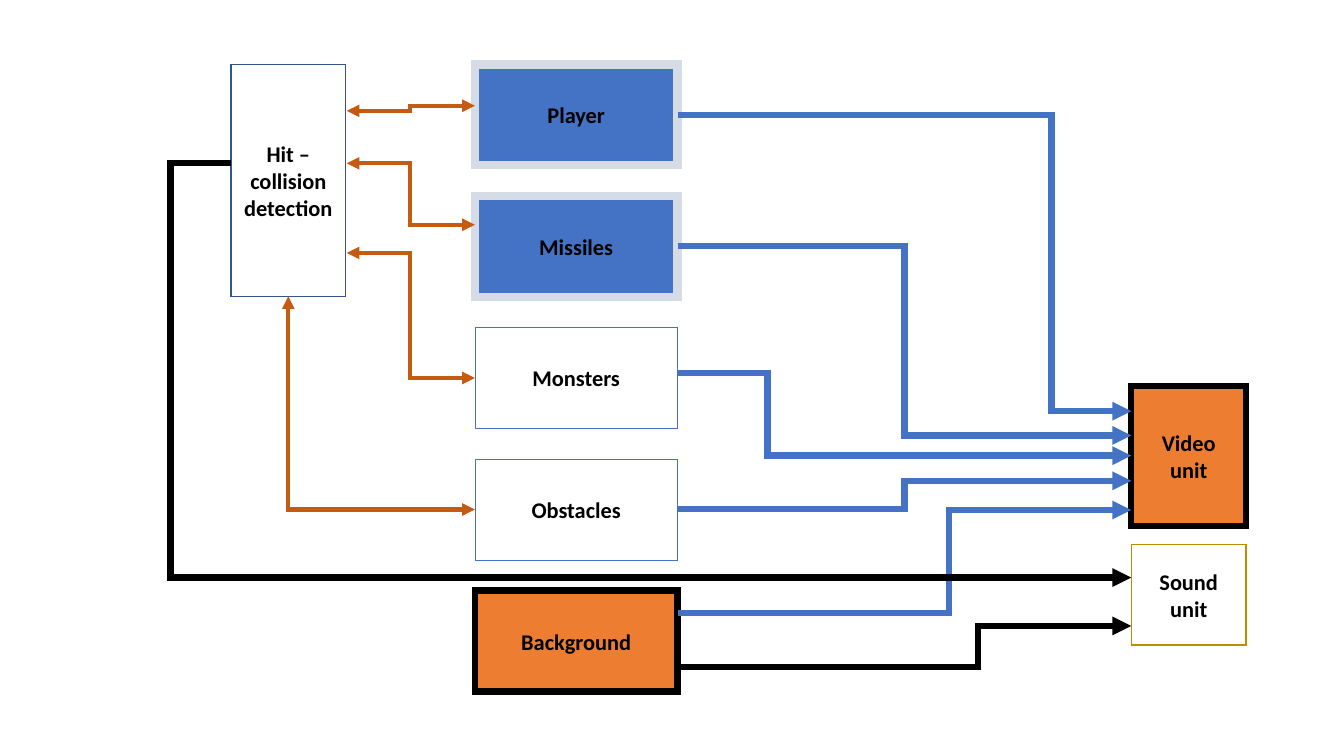
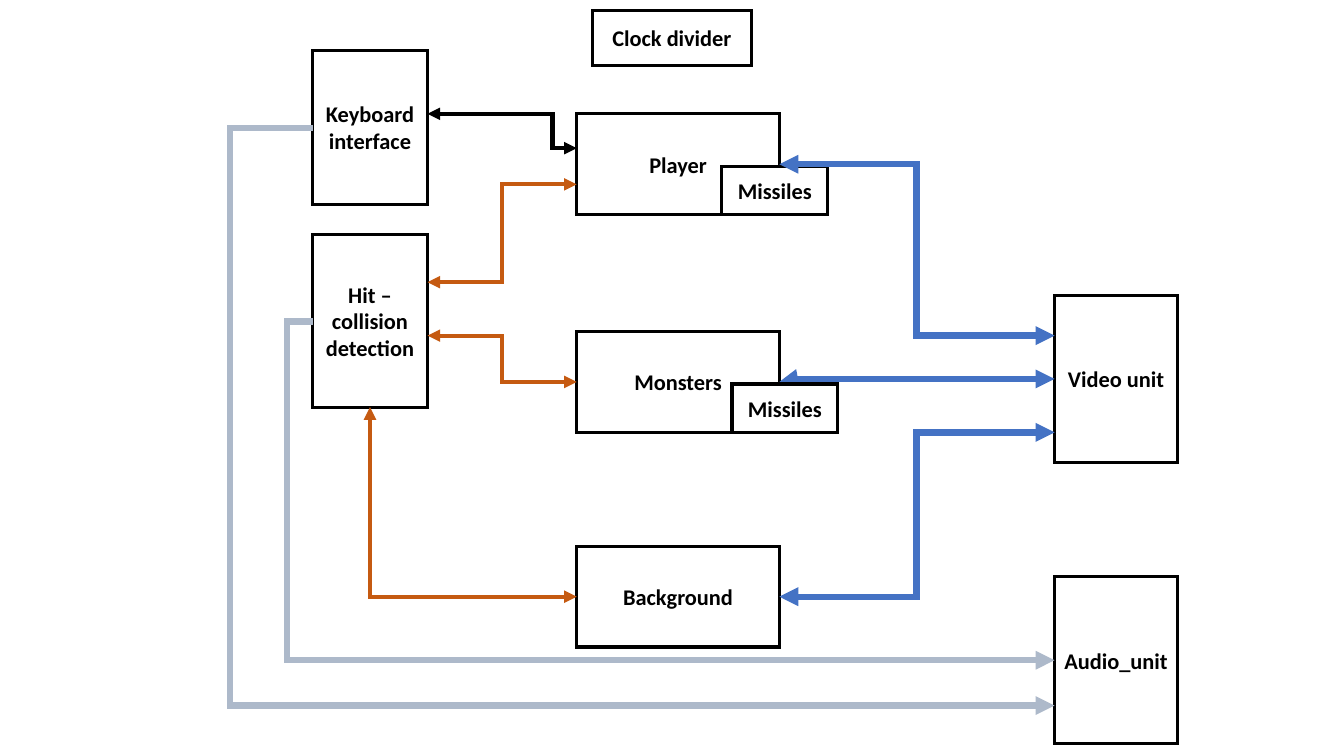
from dataclasses import dataclass

from lxml import etree
from pptx import Presentation
from pptx.dml.color import RGBColor
from pptx.enum.shapes import MSO_CONNECTOR, MSO_SHAPE
from pptx.enum.text import MSO_ANCHOR, PP_ALIGN
from pptx.oxml.ns import qn
from pptx.util import Inches, Pt

ELBOW = MSO_CONNECTOR.ELBOW
RECTANGLE = MSO_SHAPE.RECTANGLE
MIDDLE = MSO_ANCHOR.MIDDLE
CENTER = PP_ALIGN.CENTER
LEFT_SITE, BOTTOM_SITE = 1, 2  # connection sites of a rectangle
BLANK_LAYOUT = 6


@dataclass(frozen=True)
class Theme:
    font: str = "Calibri"
    size: float = 16
    black: str = "000000"
    white: str = "FFFFFF"
    blue: str = "4472C4"
    orange: str = "ED7D31"
    rust: str = "C55A11"
    navy: str = "325491"
    gold: str = "BD8E00"
    pale: str = "D6DCE5"
    steel: str = "ADB9CA"
    hairline: float = 0.5
    thin: float = 1
    outline: float = 2.25
    link: float = 3
    heavy: float = 4.5
    frame: float = 6


THEME = Theme()

# Box styles: fill, line colour, line width
CONTROLLED = dict(fill=THEME.blue, line=THEME.pale, width=THEME.frame)
PLAIN = dict(line=THEME.blue, width=THEME.hairline)
READY = dict(fill=THEME.orange, line=THEME.black, width=THEME.heavy)
DETECTOR = dict(line=THEME.navy, width=THEME.thin)
SOUND = dict(line=THEME.gold, width=THEME.thin)
OUTLINED = dict(line=THEME.black, width=THEME.outline)
SOLID = dict(OUTLINED, fill=THEME.white)

# Link styles
HIT_LINK = dict(color=THEME.rust, width=THEME.link, both=True)
KEY_LINK = dict(color=THEME.black, width=THEME.link, both=True)
VIDEO_LINK = dict(color=THEME.blue, width=THEME.heavy)
VIDEO_EXCHANGE = dict(VIDEO_LINK, both=True)
SOUND_LINK = dict(color=THEME.black, width=THEME.heavy)
AUDIO_LINK = dict(color=THEME.steel, width=THEME.heavy)


def write_text(shape, text, size=THEME.size, color=THEME.black, bold=True,
               align=CENTER, side_inset=0.1):
    frame = shape.text_frame
    frame.word_wrap = True
    frame.vertical_anchor = MIDDLE
    frame.margin_left = frame.margin_right = Inches(side_inset)
    paragraph = frame.paragraphs[0]
    paragraph.alignment = align
    run = paragraph.add_run()
    run.text = text
    run.font.name = THEME.font
    run.font.size = Pt(size)
    run.font.bold = bold
    run.font.color.rgb = RGBColor.from_string(color)


def format_line(shape, color, width):
    """Set a solid line with sharp corners and return its XML element."""
    shape.line.color.rgb = RGBColor.from_string(color)
    shape.line.width = Pt(width)
    line = shape._element.spPr.find(qn("a:ln"))
    etree.SubElement(line, qn("a:miter"), lim="800000")
    return line


def add_box(slide, text, left, top, width, height, line, fill=None, **text_format):
    shape = slide.shapes.add_shape(
        RECTANGLE, Inches(left), Inches(top), Inches(width), Inches(height))
    shape.shadow.inherit = False
    if fill:
        shape.fill.solid()
        shape.fill.fore_color.rgb = RGBColor.from_string(fill)
    else:
        shape.fill.background()
    format_line(shape, line["color"], line["width"])
    write_text(shape, text, **text_format)
    return shape


def add_module(slide, text, place, style, **text_format):
    line = dict(color=style["line"], width=style["width"])
    return add_box(slide, text, *place, line, style.get("fill"), **text_format)


def add_link(slide, start, end, color, width, both=False):
    connector = slide.shapes.add_connector(ELBOW, *map(Inches, start + end))
    line = format_line(connector, color, width)
    for name in ("a:headEnd", "a:tailEnd") if both else ("a:tailEnd",):
        etree.SubElement(line, qn(name), type="triangle")
    etree.SubElement(connector._element.spPr, qn("a:effectLst"))
    return connector


def add_step(slide, start, end, turn, **style):
    """Horizontal, vertical, horizontal; turn is the x of the vertical part."""
    connector = add_link(slide, start, end, **style)
    share = (turn - start[0]) / (end[0] - start[0])
    geometry = connector._element.spPr.find(qn("a:prstGeom"))
    guides = geometry.find(qn("a:avLst"))
    if guides is None:
        guides = etree.SubElement(geometry, qn("a:avLst"))
    etree.SubElement(guides, qn("a:gd"), name="adj1",
                     fmla=f"val {round(share * 100000)}")


def add_corner(slide, module, detector, **style):
    """One bend from a module's left side to the detector's bottom."""
    connector = add_link(slide, (0, 0), (1, 1), **style)
    connector.begin_connect(module, LEFT_SITE)
    connector.end_connect(detector, BOTTOM_SITE)
    connector._element.spPr.find(qn("a:prstGeom")).set("prst", "bentConnector2")


def build_status_slide(slide):
    # Modules in one evenly spaced column
    left, first_top, last_top, width, height = 4.71, 0.64, 5.86, 2.01, 1
    column = [("Player", CONTROLLED), ("Missiles", CONTROLLED), ("Monsters", PLAIN),
              ("Obstacles", PLAIN), ("Background", READY)]
    pitch = (last_top - first_top) / (len(column) - 1)
    modules = {}
    for row, (name, style) in enumerate(column):
        place = (left, first_top + row * pitch, width, height)
        modules[name] = add_module(slide, name, place, style)

    # Units at the sides
    detector = add_module(slide, "Hit – collision detection",
                          (2.29, 0.64, 1.14, 2.3), DETECTOR)
    add_module(slide, "Video unit", (11.22, 3.83, 1.14, 1.39), READY)
    add_module(slide, "Sound unit", (11.22, 5.4, 1.14, 1), SOUND)

    # Collision links
    for detector_y, module_y in ((1.1, 1.05), (1.62, 2.23), (2.51, 3.75)):
        add_step(slide, (3.44, detector_y), (left, module_y), 4.07, **HIT_LINK)
    add_corner(slide, modules["Obstacles"], detector, **HIT_LINK)

    # Video and sound links
    right, unit_left = left + width, 11.22
    for module_y, unit_y, turn in ((1.14, 4.08, 10.43), (2.44, 4.32, 8.97),
                                   (3.7, 4.52, 7.61), (5.05, 4.77, 8.97),
                                   (6.08, 5.06, 9.41)):
        add_step(slide, (right, module_y), (unit_left, unit_y), turn, **VIDEO_LINK)
    add_step(slide, (2.29, 1.62), (unit_left, 5.73), 1.69, **SOUND_LINK)
    add_step(slide, (right, 6.62), (unit_left, 6.21), 9.7, **SOUND_LINK)


def build_architecture_slide(slide):
    # Modules in the middle column
    left, width, height = 5.72, 2.01, 1
    modules = {}
    for name, top in (("Player", 1.13), ("Monsters", 3.29), ("Background", 5.42)):
        modules[name] = add_module(slide, name, (left, top, width, height), SOLID)
    add_module(slide, "Missiles", (7.16, 1.65, 1.05, 0.48), SOLID)
    add_module(slide, "Clock divider", (5.88, 0.1, 1.57, 0.55), OUTLINED)

    # Units at the sides
    add_module(slide, "Keyboard interface", (3.1, 0.5, 1.14, 1.53), OUTLINED)
    detector = add_module(slide, "Hit – collision detection",
                          (3.1, 2.33, 1.14, 1.71), OUTLINED)
    add_module(slide, "Video unit", (10.46, 2.93, 1.22, 1.66), OUTLINED)
    add_module(slide, "Audio_unit", (10.46, 5.72, 1.22, 1.66), OUTLINED, side_inset=0)

    # Keyboard and collision links
    input_right = 4.24
    for input_y, module_y, turn, style in ((1.13, 1.47, 5.48, KEY_LINK),
                                           (2.8, 1.83, 4.98, HIT_LINK),
                                           (3.33, 3.79, 4.98, HIT_LINK)):
        add_step(slide, (input_right, input_y), (left, module_y), turn, **style)
    add_corner(slide, modules["Background"], detector, **HIT_LINK)

    # Video and audio links
    right, unit_left = left + width, 10.46
    for module_y, unit_y, turn in ((1.63, 3.33, 9.09), (3.79, 3.76, 7.74),
                                   (5.92, 4.29, 9.09)):
        add_step(slide, (right, module_y), (unit_left, unit_y), turn, **VIDEO_EXCHANGE)
    for input_y, unit_y, turn in ((1.27, 7, 2.28), (3.19, 6.55, 2.85)):
        add_step(slide, (3.1, input_y), (unit_left, unit_y), turn, **AUDIO_LINK)

    # The monsters' missiles lie over the video link
    add_module(slide, "Missiles", (7.26, 3.81, 1.05, 0.48), SOLID)


def main():
    presentation = Presentation()
    presentation.slide_width = Inches(13.33)
    presentation.slide_height = Inches(7.5)
    layout = presentation.slide_layouts[BLANK_LAYOUT]
    for build in (build_status_slide, build_architecture_slide):
        build(presentation.slides.add_slide(layout))
    presentation.save("out.pptx")


main()
